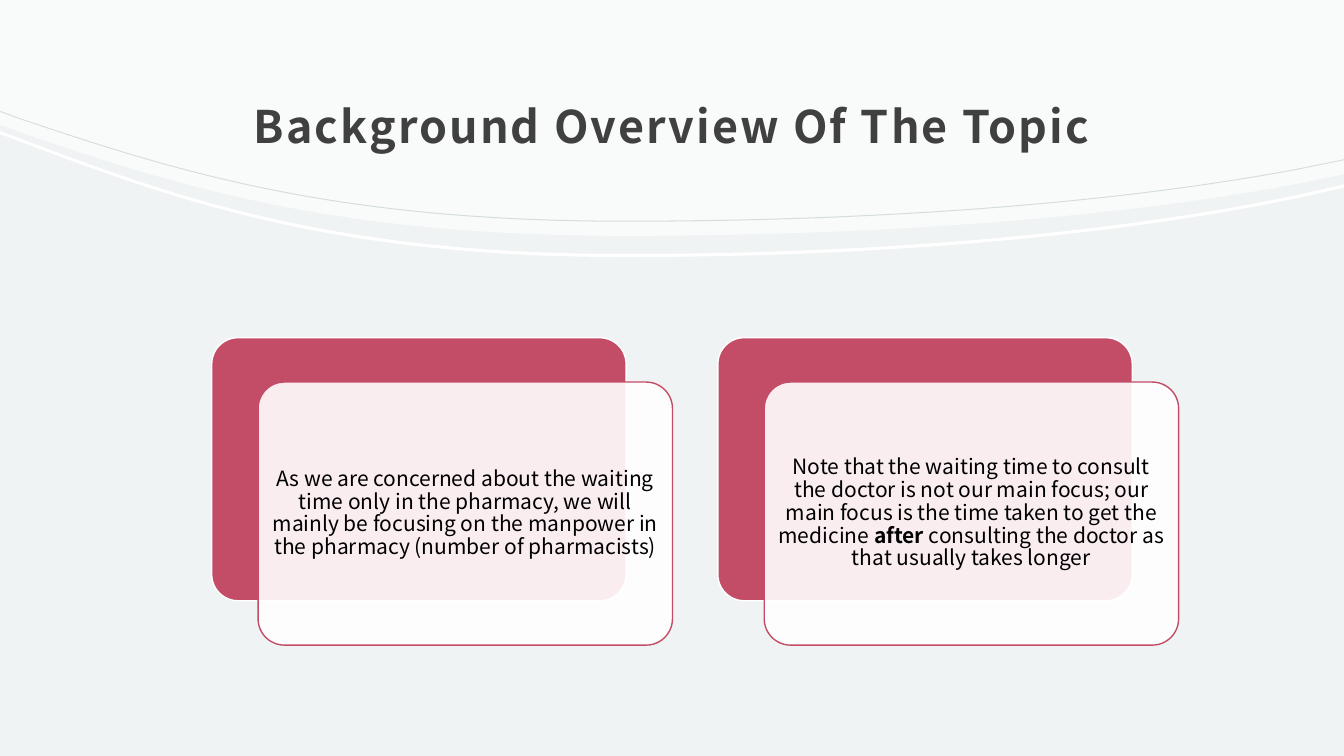
from lxml import etree
from pptx import Presentation
from pptx.dml.color import RGBColor
from pptx.enum.shapes import MSO_SHAPE
from pptx.enum.text import MSO_ANCHOR, PP_ALIGN
from pptx.oxml.ns import qn
from pptx.util import Inches, Pt

ROUNDED = MSO_SHAPE.ROUNDED_RECTANGLE
MIDDLE = MSO_ANCHOR.MIDDLE
CENTER = PP_ALIGN.CENTER

FONT = "Noto Sans CJK JP"
COLORS = {"background": "F0F3F3", "white": "FFFFFF", "hairline": "D5DEDE",
          "title": "404040", "accent": "C34D66", "text": "000000"}

# Each wave edge is a line, two Bézier curves and a line over the same x values.
WAVE_X = [0, 0.19, 1.79, 3.33, 6.2, 8.75, 11.09, 12.89, 13.33]
FLAT_TOP = [0] * len(WAVE_X)
PANEL_EDGE = [1.24, 1.31, 1.86, 2.34, 2.34, 2.34, 2.16, 1.82, 1.73]
WHITE_EDGE = [1.3, 1.37, 1.98, 2.52, 2.52, 2.52, 2.31, 1.93, 1.83]
GREY_EDGE = [1.1, 1.17, 1.71, 2.19, 2.19, 2.19, 2.01, 1.67, 1.58]
CURVE_STARTS = [1, 4, 10, 13]

CARD_W, CARD_H = 4.11, 2.61
CARD_LEFT, CARD_TOP, CARD_STEP = 2.1, 3.35, 5.02
CARD_SHIFT_X, CARD_SHIFT_Y = 0.46, 0.44
CARDS = [
    [("As we are concerned about the waiting time only in the pharmacy, we will "
      "mainly be focusing on the manpower in the pharmacy "
      "(number of pharmacists)", False)],
    [("Note that the waiting time to consult the doctor is not our main focus; "
      "our main focus is the time taken to get the medicine ", False),
     ("after ", True),
     ("consulting the doctor as that usually takes longer", False)],
]


class SlideBuilder:
    def __init__(self, slide):
        self.slide = slide
        fill = slide.background.fill
        fill.solid()
        fill.fore_color.rgb = self.color("background")

    def color(self, name):
        return RGBColor.from_string(COLORS[name])

    def paint(self, sp, fill, line=None, opacity=100):
        sp.shadow.inherit = False
        sp.fill.solid()
        sp.fill.fore_color.rgb = self.color(fill)
        if opacity < 100:
            solid = sp._element.spPr.find(qn("a:solidFill"))
            alpha = etree.SubElement(solid[0], qn("a:alpha"))
            alpha.set("val", str(opacity * 1000))
        if line:
            sp.line.color.rgb = self.color(line)
            sp.line.width = Pt(1)
        else:
            sp.line.fill.background()

    def wave(self, top, bottom, fill, opacity=100):
        """Fill the band between two edges, with true curves."""
        points = list(zip(WAVE_X, top)) + list(zip(WAVE_X, bottom))[::-1]
        points = [(Inches(x), Inches(y)) for x, y in points]
        builder = self.slide.shapes.build_freeform(*points[0])
        builder.add_line_segments(points[1:], close=True)
        sp = builder.convert_to_shape()
        lines = list(sp._element.iter(qn("a:lnTo")))
        for start in CURVE_STARTS:
            curve = etree.Element(qn("a:cubicBezTo"))
            lines[start].addprevious(curve)
            for line in lines[start:start + 3]:
                curve.append(line[0])
                line.getparent().remove(line)
        self.paint(sp, fill, opacity=opacity)

    def rounded_box(self, left, top, fill, line, opacity=100):
        sp = self.slide.shapes.add_shape(ROUNDED, Inches(left), Inches(top),
                                         Inches(CARD_W), Inches(CARD_H))
        sp.adjustments[0] = 0.1
        self.paint(sp, fill, line, opacity)
        return sp

    def set_text(self, sp, runs, size, color, spacing, inset):
        tf = sp.text_frame
        tf.word_wrap = True
        tf.vertical_anchor = MIDDLE
        tf.margin_left = tf.margin_right = Inches(inset)
        tf.margin_top = tf.margin_bottom = Inches(inset)
        p = tf.paragraphs[0]
        p.alignment = CENTER
        p.line_spacing = spacing
        for text, bold in runs:
            r = p.add_run()
            r.text = text
            r.font.name = FONT
            r.font.size = Pt(size)
            r.font.bold = bold
            r.font.color.rgb = self.color(color)
        return p

    def title(self, text):
        sp = self.slide.shapes.add_textbox(Inches(1.33), Inches(0.59),
                                           Inches(10.67), Inches(1.14))
        p = self.set_text(sp, [(text, True)], 32, "title", 1.3, 0.12)
        sp.text_frame.margin_bottom = Inches(0.1)
        p.runs[0]._r.get_or_add_rPr().set("spc", "150")

    def card(self, left, top, runs):
        self.rounded_box(left, top, "accent", "white")
        front = self.rounded_box(left + CARD_SHIFT_X, top + CARD_SHIFT_Y,
                                 "white", "accent", opacity=90)
        self.set_text(front, runs, 15, "text", 0.9, 0.06)


def main():
    prs = Presentation()
    prs.slide_width, prs.slide_height = Inches(13.33), Inches(7.5)
    s = SlideBuilder(prs.slides.add_slide(prs.slide_layouts[6]))

    s.wave(FLAT_TOP, PANEL_EDGE, "white", opacity=60)
    for edge, thickness, color in [(WHITE_EDGE, 0.03, "white"),
                                   (GREY_EDGE, 0.01, "hairline")]:
        s.wave(edge, [y + thickness for y in edge], color)
    s.title("Background Overview Of The Topic")
    for i, runs in enumerate(CARDS):
        s.card(CARD_LEFT + i * CARD_STEP, CARD_TOP, runs)

    prs.save("out.pptx")


if __name__ == "__main__":
    main()
